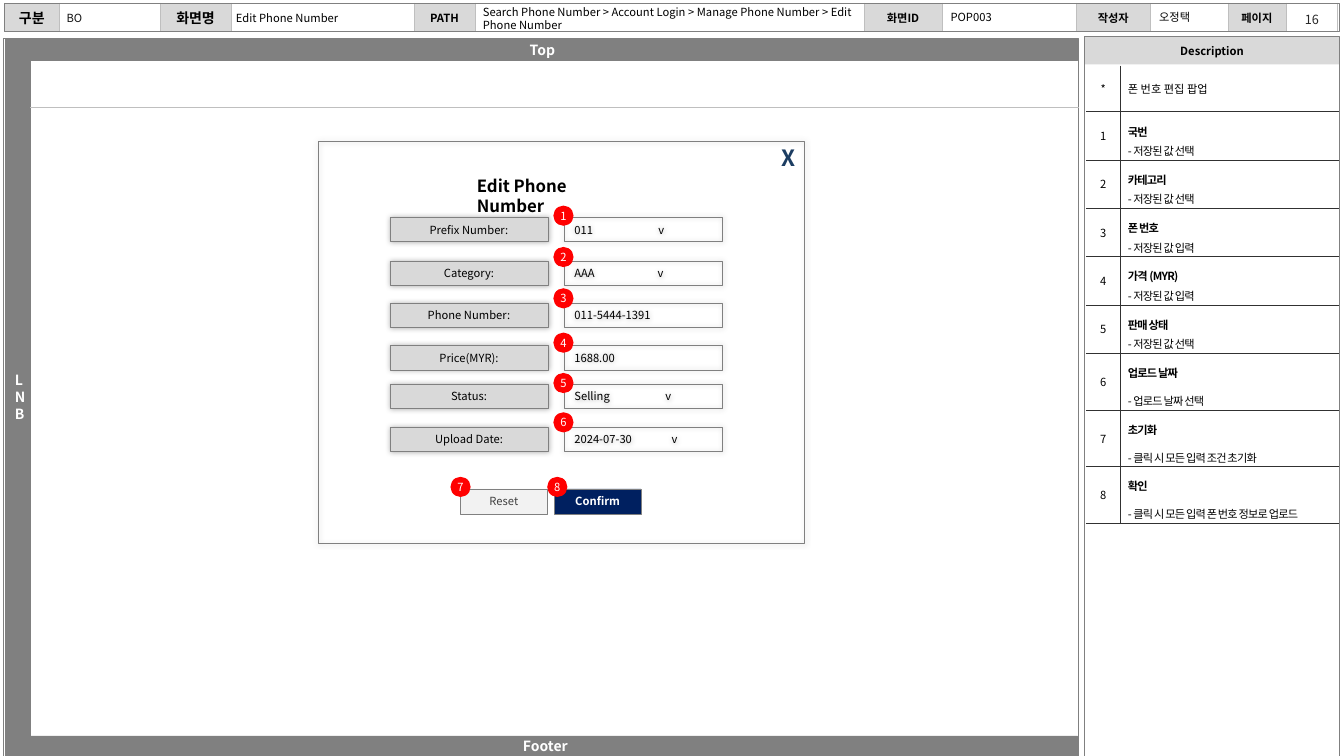
from lxml import etree
from pptx import Presentation
from pptx.dml.color import RGBColor
from pptx.enum import shapes as kinds, text as txt
from pptx.oxml import ns
from pptx.util import Pt

FONT = "Noto Sans CJK KR"
HUE = {"black": "000000", "white": "FFFFFF", "gray": "808080", "label": "D9D9D9",
       "pale": "F2F2F2", "rule": "BFBFBF", "ink": "313131", "navy": "002060",
       "close": "1C3D62", "red": "FF0000", "reset": "404040", "page": "262626",
       "site": "111111"}
LEFT, MID, RIGHT = txt.PP_ALIGN.LEFT, txt.PP_ALIGN.CENTER, txt.PP_ALIGN.RIGHT
RECT, OVAL = kinds.MSO_SHAPE.RECTANGLE, kinds.MSO_SHAPE.OVAL

# label width, label, label size, value, value left shift, value top
HEAD = [(39.6, "구분", 10), (72, None, 8), (50.4, "화면명", 10), (131, None, 8),
        (43.2, "PATH", 8), (277.9, None, 8), (56.2, "화면ID", 8), (95.8, None, 8),
        (52.6, "작성자", 8), (55.4, None, 8), (41.8, "페이지", 8), (36.7, None, 8)]
VALUES = [("BO", 43.9, 4.3, 68.4, "site"),
          ("Edit Phone Number", 164.9, 4.3, 130.3, "black"),
          ("Search Phone Number > Account Login > Manage Phone Number > Edit Phone Number",
           341.3, 0, 277.2, "black"),
          ("POP003", 675.4, 3.6, 52.6, "black"),
          ("오정택", 824.4, 3.6, 52.6, "black")]
# label, value, tab stop of the drop mark, top, badge top (within the popup)
FIELDS = [("Prefix Number:", "011\tv", 60, 54.7, 46.1),
          ("Category:", "AAA\tv", 59.5, 85.7, 75.6),
          ("Phone Number:", "011-5444-1391", 0, 115.9, 105.1),
          ("Price(MYR):", "1688.00", 0, 146.2, 136.8),
          ("Status:", "Selling\tv", 65, 173.5, 165.6),
          ("Upload Date:", "2024-07-30\tv", 69.5, 204.5, 193.7)]
NOTES = [("국번", "저장된 값 선택"), ("카테고리", "저장된 값 선택"),
         ("폰 번호", "저장된 값 입력"), ("가격 (MYR)", "저장된 값 입력"),
         ("판매 상태", "저장된 값 선택"), ("업로드 날짜", "업로드 날짜 선택"),
         ("초기화", "클릭 시 모든 입력 조건 초기화"),
         ("확인", "클릭 시 모든 입력 폰 번호 정보로 업로드")]


def rgb(name):
    return RGBColor.from_string(HUE[name])


def add(node, tag, **attrs):
    return etree.SubElement(node, ns.qn(tag), attrs)


def style(para, size=8, color="black", bold=False, align=LEFT, track=0):
    para.alignment = align
    for run in para.runs:
        font = run.font
        font.name, font.size, font.bold = FONT, Pt(size), bold
        font.color.rgb = rgb(color)
        props = run._r.get_or_add_rPr()
        add(props, "a:ea", typeface=FONT)
        if track:
            props.set("spc", str(track))


def inset(item, sides):
    """Set left, top, right and bottom margins of a frame or cell."""
    item.margin_left, item.margin_top, item.margin_right, item.margin_bottom = map(Pt, sides)


def write(shape, words, sides, anchor=txt.MSO_ANCHOR.MIDDLE, **look):
    frame = shape.text_frame
    frame.word_wrap = True
    frame.vertical_anchor = anchor
    inset(frame, sides)
    frame.text = words
    style(frame.paragraphs[0], **look)


def label(slide, words, box, pad=3.6, anchor=txt.MSO_ANCHOR.TOP, **look):
    shape = slide.shapes.add_textbox(*map(Pt, box))
    write(shape, words, (pad, 3.6, pad, 3.6), anchor, **look)


def block(slide, box, fill=None, line="gray", width=0.5, glow=False, kind=RECT):
    shape = slide.shapes.add_shape(kind, *map(Pt, box))
    shape.shadow.inherit = False
    if fill:
        shape.fill.solid()
        shape.fill.fore_color.rgb = rgb(fill)
    else:
        shape.fill.background()
    if line:
        shape.line.color.rgb = rgb(line)
        shape.line.width = Pt(width)
    else:
        shape.line.fill.background()
    if glow:
        effects = shape._element.spPr.find(ns.qn("a:effectLst"))
        cast = add(effects, "a:outerShdw", blurRad=str(Pt(4)), dist="0", dir="0",
                   algn="ctr", rotWithShape="0")
        add(add(cast, "a:srgbClr", val=HUE["black"]), "a:alpha", val="30000")
    return shape


def badge(slide, number, left, top):
    dot = block(slide, (left, top, 14.4, 14.4), "red", None, kind=OVAL)
    write(dot, str(number), (0, 3.6, 0, 3.6), color="white", align=MID)


def grid(slide, box, cols, rows):
    frame = slide.shapes.add_table(len(rows), len(cols), *map(Pt, box))
    table = frame.table
    table.first_row = table.horz_banding = False
    for col, width in zip(table.columns, cols):
        col.width = Pt(width)
    for row, height in zip(table.rows, rows):
        row.height = Pt(height)
    return table


def border(cell, **edges):
    """Draw the borders, each given as (color, width)."""
    props = cell._tc.get_or_add_tcPr()
    for spot, side in enumerate("LRTB"):
        color, width = edges[side]
        line = etree.Element(ns.qn("a:ln" + side), w=str(Pt(width)))
        add(add(line, "a:solidFill"), "a:srgbClr", val=HUE[color])
        props.insert(spot, line)


def header(slide, left, top, width, height):
    table = grid(slide, (left, top, width, height), [col[0] for col in HEAD], [height])
    for cell, (_, words, size) in zip(table.rows[0].cells, HEAD):
        cell.vertical_anchor = txt.MSO_ANCHOR.MIDDLE
        inset(cell, (2, 1, 2, 1))
        para = cell.text_frame.paragraphs[0]
        if words:
            para.text = words
            style(para, size, bold=True, align=MID)
            cell.fill.solid()
            cell.fill.fore_color.rgb = rgb("label")
        else:
            para._p.get_or_add_endParaRPr().set("sz", "800")
            cell.fill.background()
        edge = ("rule", 0.25)
        border(cell, L=edge, R=edge, T=("white", 0.25), B=("white", 0.25))
    block(slide, (left, top, width + 0.7, height))
    for words, x, y, wide, color in VALUES:
        label(slide, words, (left + x - 2.9, y, wide, 17.3), color=color)
    label(slide, "16", (left + 917.3, 3.6, 33.8, 20.2), 7.2, txt.MSO_ANCHOR.MIDDLE,
          size=9, color="page", align=MID)


def screen(slide, left, top, width, height):
    block(slide, (left, top, width, height), "white")
    bars = [("LNB", (left + 1.4, top, 18, height), (7.2, 3.6, 2, 3.6), LEFT),
            ("Footer", (left + 7.2, top + height - 14.4, width - 7.9, 14.4),
             (7.2, 0, 7.2, 0), MID),
            ("Top", (left + 2.9, top, width - 3.6, 15.8), (7.2, 0, 7.2, 0), MID)]
    for words, box, sides, align in bars:
        bar = block(slide, box, "gray", width=0.25)
        write(bar, words, sides, size=10, color="white", bold=True, align=align)
    y = Pt(top + 48.9)
    rule = slide.shapes.add_connector(kinds.MSO_CONNECTOR.STRAIGHT, Pt(left + 19.4), y,
                                      Pt(left + width), y)
    rule.line.color.rgb = rgb("rule")
    rule.line.width = Pt(0.25)
    add(rule._element.spPr, "a:effectLst")


def popup(slide, left, top, width, height):
    block(slide, (left, top, width, height), glow=True)
    label(slide, "Edit Phone Number", (left + 109.5, top + 20.9, 121.7, 21.6),
          size=12, bold=True)
    label(slide, "X", (left + 301, top - 1.4, 46.8, 26.6), 7.2,
          size=16, color="close", bold=True, align=RIGHT)
    for number, (name, value, stop, y, dot) in enumerate(FIELDS, 1):
        tag = block(slide, (left + 51.1, top + y, 113, 17.3), "label", glow=True)
        write(tag, name, (7.2, 0, 7.2, 0), align=MID)
        entry = block(slide, (left + 175.7, top + y, 113, 17.3), glow=True)
        write(entry, value, (7.2, 0, 7.2, 0))
        if stop:
            props = entry.text_frame.paragraphs[0]._p.get_or_add_pPr()
            add(add(props, "a:tabLst"), "a:tab", pos=str(Pt(stop)), algn="l")
        badge(slide, number, left + 167.8, top + dot)
    buttons = [("Reset", 101.5, "pale", "reset", False, 94.3),
               ("Confirm", 168.5, "navy", "white", True, 163.4)]
    for number, (name, x, fill, color, bold, dot) in enumerate(buttons, 7):
        button = block(slide, (left + x, top + 248.4, 61.9, 18), fill)
        write(button, name, (0, 2.9, 0, 2.9), color=color, bold=bold, align=MID)
        badge(slide, number, left + dot, top + 239.8)


def notes(slide, left, top, width, height):
    title = block(slide, (left, top + 0.7, width, 19.4), "label", None)
    write(title, "Description", (0, 0, 0, 0), bold=True, align=MID)
    block(slide, (left, top, width, height))
    rows = [32.4] + [34.3] * 5 + [40.4] * 3
    table = grid(slide, (left + 1.4, top + 21.4, 180, sum(rows)), (23.8, 156.2), rows)
    ink, blank = ("ink", 0.25), ("white", 1)
    for index, row in enumerate(table.rows):
        mark, body = row.cells
        mark.text = str(index) if index else "*"
        style(mark.text_frame.paragraphs[0], align=MID)
        mark.text_frame.paragraphs[0].space_after = Pt(6)
        if index:
            name, action = NOTES[index - 1]
            body.text = f"{name}\n- {action}"
            for para, bold in zip(body.text_frame.paragraphs, (True, False)):
                style(para, bold=bold, track=-60)
                para.line_spacing = 1.2
                if index > 5:
                    para.space_after = Pt(6)
        else:
            body.text = "폰 번호 편집 팝업"
            style(body.text_frame.paragraphs[0])
        for cell in row.cells:
            cell.vertical_anchor = txt.MSO_ANCHOR.MIDDLE
            inset(cell, [5.76] * 4)
            cell.fill.solid()
            cell.fill.fore_color.rgb = rgb("white")
        above = ink if index else blank
        border(mark, L=blank, R=ink, T=above, B=ink)
        border(body, L=ink, R=blank, T=above, B=ink)


def main():
    deck = Presentation()
    deck.slide_width, deck.slide_height = Pt(960), Pt(540)
    slide = deck.slides.add_slide(deck.slide_layouts[6])
    screen(slide, 2.2, 27.4, 768.2, 512.6)
    header(slide, 2.9, 2.2, 953.3, 20.2)
    notes(slide, 774.7, 25.9, 182.2, 514.1)
    popup(slide, 227.5, 100.8, 347, 287.3)
    deck.save("out.pptx")


if __name__ == "__main__":
    main()
